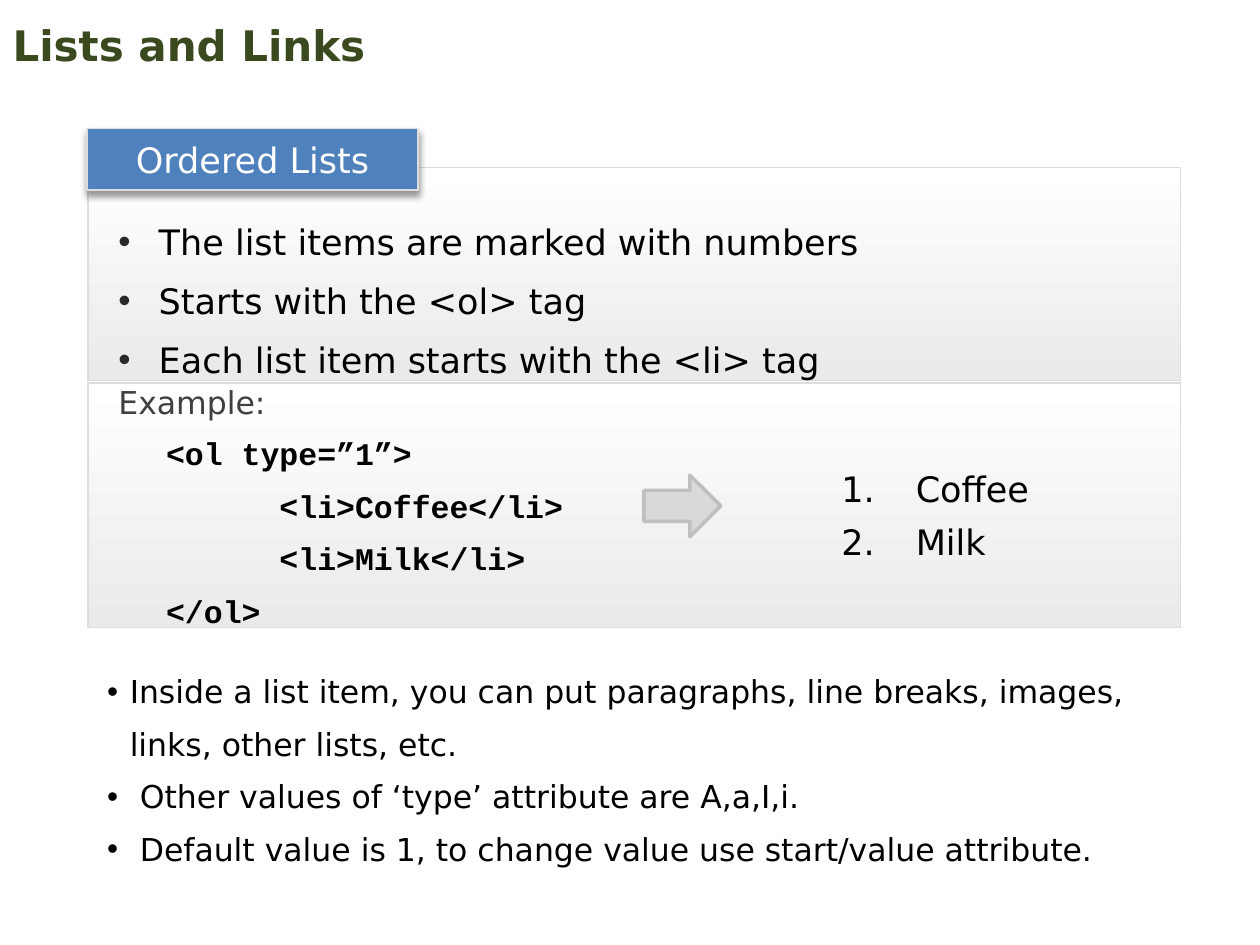
from lxml.etree import SubElement
from pptx import Presentation
from pptx.dml.color import RGBColor
from pptx.enum.shapes import MSO_SHAPE as Shape
from pptx.enum.text import MSO_ANCHOR as Anchor, MSO_AUTO_SIZE as AutoSize, PP_ALIGN as Align
from pptx.oxml.ns import qn
from pptx.util import Inches, Pt

# Content
TITLE = "Lists and Links"
LABEL = "Ordered Lists"
RULES = ["The list items are marked with numbers",
         "Starts with the <ol> tag",
         "Each list item starts with the <li> tag"]
EXAMPLE = "Example:"
CODE = [("<ol type=”1”>", 0), ("<li>Coffee</li>", 1), ("<li>Milk</li>", 1), ("</ol>", 0)]
RESULT = ["Coffee", "Milk"]
NOTES = ["Inside a list item, you can put paragraphs, line breaks, images, links, other lists, etc.",
         "Other values of ‘type’ attribute are A,a,I,i.",
         "Default value is 1, to change value use start/value attribute."]

# Layout, in inches
PANEL_LEFT, PANEL_WIDTH = 0.7, 8.67
RULES_TOP, RULES_HEIGHT = 1.33, 1.69
EXAMPLE_TOP, EXAMPLE_HEIGHT = 3.04, 1.94
CODE_INDENT = 0.9
LINE = Pt(30)
SANS, MONO = "DejaVu Sans", "Courier New"


def color(value):
    return RGBColor.from_string(value)


def place(shape, left, top, width, height):
    shape.left, shape.top = Inches(left), Inches(top)
    shape.width, shape.height = Inches(width), Inches(height)


def write(shape, lines, size, ink="000000", font=SANS, bold=False, align=Align.LEFT,
          spacing=None, after=0, anchor=Anchor.TOP, insets=(0.1, 0.05, 0.1, 0.05)):
    frame = shape.text_frame
    frame.text = "\n".join(lines)
    frame.word_wrap, frame.auto_size = True, AutoSize.NONE
    frame.vertical_anchor = anchor
    frame.margin_left, frame.margin_top, frame.margin_right, frame.margin_bottom = map(Inches, insets)
    for paragraph in frame.paragraphs:
        paragraph.alignment = align
        paragraph.space_before, paragraph.space_after = Pt(0), Pt(after)
        if spacing:
            paragraph.line_spacing = spacing
        for run in paragraph.runs:
            run.font.name, run.font.size, run.font.bold = font, Pt(size), bold
            run.font.color.rgb = color(ink)
    return frame.paragraphs


def mark(paragraph, indent, hanging=True, bullet=None, bullet_color=None):
    """Indent a paragraph; a bullet of None means numbering."""
    props = paragraph._p.get_or_add_pPr()
    props.set("marL", str(Inches(indent)))
    props.set("indent", str(-Inches(indent) if hanging else 0))
    if not hanging:
        return
    if bullet_color:
        SubElement(SubElement(props, qn("a:buClr")), qn("a:srgbClr"), val=bullet_color)
    if bullet:
        SubElement(props, qn("a:buFont"), typeface="Arial")
        SubElement(props, qn("a:buChar"), char=bullet)
    else:
        SubElement(props, qn("a:buFont"), typeface="+mj-lt")
        SubElement(props, qn("a:buAutoNum"), type="arabicPeriod")


def add_box(kind, box, fill, line, width):
    shape = slide.shapes.add_shape(kind, *map(Inches, box))
    shape.shadow.inherit = False
    if isinstance(fill, tuple):
        shape.fill.gradient()
        shape.fill.gradient_angle = 270
        for stop, position, shade in zip(shape.fill.gradient_stops, (0, 1), fill):
            stop.position, stop.color.rgb = position, color(shade)
    else:
        shape.fill.solid()
        shape.fill.fore_color.rgb = color(fill)
    shape.line.color.rgb, shape.line.width = color(line), Pt(width)
    return shape


def add_panel(top, height):
    return add_box(Shape.RECTANGLE, (PANEL_LEFT, top, PANEL_WIDTH, height),
                   ("FFFFFF", "EAEAEA"), "DDDDDD", 1)


def add_text(*box):
    return slide.shapes.add_textbox(*map(Inches, box))


deck = Presentation()
deck.slide_width, deck.slide_height = Inches(10), Inches(7.5)
slide = deck.slides.add_slide(deck.slide_layouts[1])
title, notes = slide.placeholders

# Title
place(title, 0, 0.14, 9, 0.43)
write(title, [TITLE], 24, "3B4A1E", bold=True, anchor=Anchor.MIDDLE)

# Example panel: code, arrow, rendered list
example = add_panel(EXAMPLE_TOP, EXAMPLE_HEIGHT)
write(example, [EXAMPLE], 18, "404040", insets=(0.24, 0, 0.04, 0))

code = add_text(1.22, 3.28, 4.17, 1.79)
code_lines = write(code, [line for line, _ in CODE], 18, font=MONO, bold=True, spacing=LINE)
for paragraph, (_, level) in zip(code_lines, CODE):
    mark(paragraph, level * CODE_INDENT, hanging=False)

result = add_text(6.58, 3.58, 1.87, 0.94)
for paragraph in write(result, RESULT, 20, spacing=LINE):
    mark(paragraph, 0.59)

add_box(Shape.RIGHT_ARROW, (5.11, 3.77, 0.61, 0.49), "D9D9D9", "BFBFBF", 2)

# Rules panel with its label
rules = add_panel(RULES_TOP, RULES_HEIGHT)
for paragraph in write(rules, RULES, 20, align=Align.JUSTIFY, spacing=LINE, after=3.7,
                       anchor=Anchor.BOTTOM, insets=(0.24, 0, 0.04, 0)):
    mark(paragraph, 0.32, bullet="•", bullet_color="292929")

label = add_box(Shape.RECTANGLE, (0.69, 1.02, 2.63, 0.49), "4F81BD", "DDDDDD", 1)
write(label, [LABEL], 20, "FFFFFF", align=Align.CENTER, anchor=Anchor.MIDDLE, insets=(0, 0, 0, 0))
effects = label._element.spPr.find(qn("a:effectLst"))
shadow = SubElement(effects, qn("a:outerShdw"), blurRad=str(Pt(4)), dist=str(Pt(3)),
                    dir="5400000", rotWithShape="0")
SubElement(SubElement(shadow, qn("a:srgbClr"), val="000000"), qn("a:alpha"), val="40000")

# Closing notes
place(notes, 0.75, 5.17, 8.69, 1.73)
for number, paragraph in enumerate(write(notes, NOTES, 18, spacing=LINE)):
    mark(paragraph, 0.26 if number else 0.18, bullet="•")

deck.save("out.pptx")
